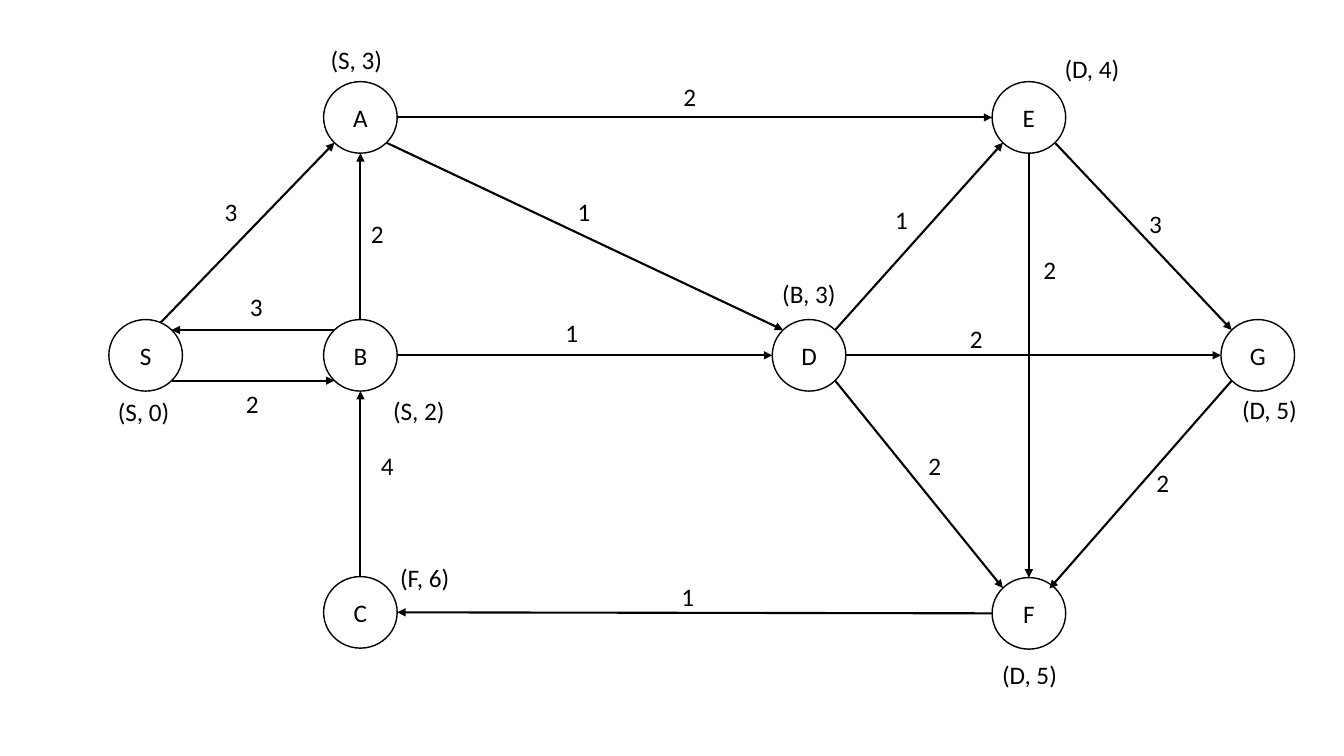
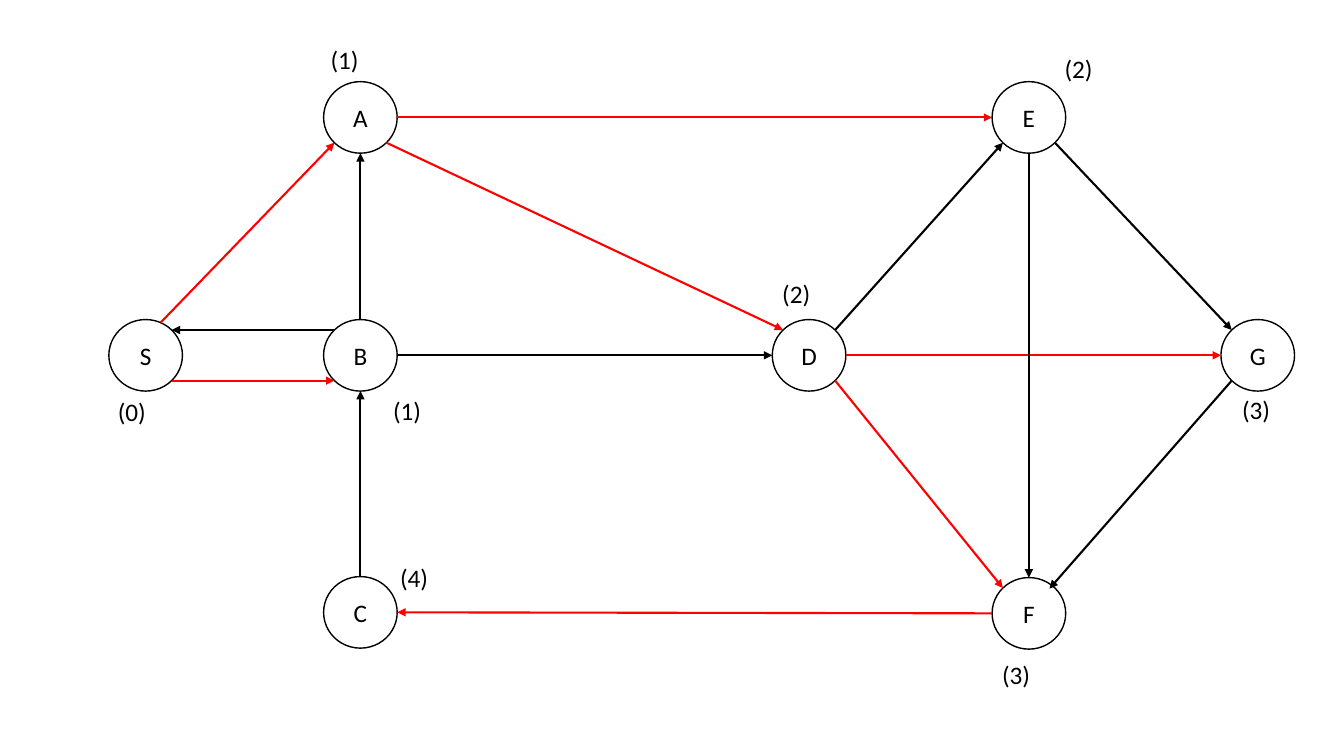
from dataclasses import dataclass
from math import cos, radians, sin
from typing import Any, Optional

from lxml.etree import SubElement
from pptx import Presentation
from pptx.dml.color import RGBColor
from pptx.enum.shapes import MSO_CONNECTOR, MSO_SHAPE
from pptx.enum.text import MSO_ANCHOR, MSO_AUTO_SIZE, PP_ALIGN
from pptx.oxml.ns import qn
from pptx.slide import Slide
from pptx.util import Inches, Pt

COLORS = {"ink": "000000", "paper": "FFFFFF", "tree": "FF0000"}
FONT_FORMAT = {"name": "Calibri", "size": Pt(18)}
NODE_TEXT_FORMAT = {"vertical_anchor": MSO_ANCHOR.MIDDLE, "word_wrap": True}
FITTED_FORMAT = {"auto_size": MSO_AUTO_SIZE.SHAPE_TO_FIT_TEXT, "word_wrap": False}
WRAPPED_FORMAT = {**FITTED_FORMAT, "word_wrap": True}
NODE_WIDTH, NODE_HEIGHT = 0.73, 0.71
LABEL_HEIGHT, WEIGHT_WIDTH = 0.4, 0.33


@dataclass(frozen=True)
class Node:
    """A graph vertex: its top left corner and the place of its tag."""
    left: float
    top: float
    tag_left: float
    tag_top: float
    tag_width: Optional[float] = None  # None fits the width to the text

    def rim(self, angle: float, reach: float = 1) -> tuple[float, float]:
        """Return the point at an angle in degrees, counter-clockwise from the right."""
        turn = radians(angle)
        return (self.left + NODE_WIDTH / 2 * (1 + reach * cos(turn)),
                self.top + NODE_HEIGHT / 2 * (1 - reach * sin(turn)))


@dataclass(frozen=True)
class Edge:
    """A directed edge, the angles where it leaves and arrives, and its weight."""
    source: str
    target: str
    leave: float
    arrive: float
    weight: int
    weight_left: float
    weight_top: float
    reach: float = 1

    @property
    def key(self) -> str:
        """Return the two node names joined."""
        return self.source + self.target


@dataclass(frozen=True)
class GraphView:
    """What one slide shows on the shared graph."""
    tags: dict[str, str]
    tree_edges: frozenset[str] = frozenset()
    weighted: bool = False


NODES = {
    "S": Node(1.08, 3.17, 1.07, 3.88),
    "A": Node(3.21, 0.81, 3.18, 0.39),
    "B": Node(3.21, 3.17, 3.8, 3.87),
    "C": Node(3.21, 5.72, 3.87, 5.53),
    "D": Node(7.66, 3.17, 7.66, 2.71, 0.77),
    "E": Node(9.84, 0.81, 10.46, 0.48, 0.84),
    "F": Node(9.84, 5.73, 9.84, 6.49, 0.82),
    "G": Node(12.11, 3.17, 12.22, 3.86, 0.88),
}

EDGES = [
    Edge("S", "B", -45, -135, 2, 2.34, 3.8),
    Edge("B", "S", 135, 45, 3, 2.38, 2.84),
    Edge("S", "A", 66, -135, 3, 2.13, 1.9),
    Edge("B", "A", 90, -90, 2, 3.58, 2.12),
    Edge("C", "B", 90, -90, 4, 3.68, 4.42),
    Edge("A", "E", 0, 180, 2, 6.68, 0.76),
    Edge("A", "D", -45, 135, 1, 5.63, 1.9),
    Edge("B", "D", 0, 180, 1, 5.51, 3.1),
    Edge("D", "E", 45, -135, 1, 8.78, 1.98),
    Edge("D", "G", 0, 180, 2, 9.52, 3.16),
    Edge("D", "F", -45, 135, 2, 9.11, 4.42),
    Edge("E", "F", -90, 90, 2, 10.25, 2.47),
    Edge("E", "G", -45, 135, 3, 11.3, 2.02),
    Edge("G", "F", -135, 51, 2, 11.37, 4.59, reach=0.89),
    Edge("F", "C", 180, 0, 1, 6.66, 5.72),
]

VIEWS = [
    GraphView(
        tags={"S": "(S, 0)", "A": "(S, 3)", "B": "(S, 2)", "C": "(F, 6)",
              "D": "(B, 3)", "E": "(D, 4)", "F": "(D, 5)", "G": "(D, 5)"},
        weighted=True),
    GraphView(
        tags={"S": "(0)", "A": "(1)", "B": "(1)", "C": "(4)",
              "D": "(2)", "E": "(2)", "F": "(3)", "G": "(3)"},
        tree_edges=frozenset({"SA", "SB", "AE", "AD", "DG", "DF", "FC"})),
]


def color(role: str) -> RGBColor:
    """Return the colour of a role."""
    return RGBColor.from_string(COLORS[role])


def apply_format(target: Any, values: dict[str, Any]) -> None:
    """Set each attribute of the target from the format values."""
    for attribute, value in values.items():
        setattr(target, attribute, value)


def write(frame: Any, text: str, frame_format: dict[str, Any],
          align: PP_ALIGN = PP_ALIGN.LEFT) -> None:
    """Put one formatted line of text in a frame."""
    apply_format(frame, frame_format)
    paragraph = frame.paragraphs[0]
    paragraph.alignment = align
    run = paragraph.add_run()
    run.text = text
    apply_format(run.font, FONT_FORMAT)
    run.font.color.rgb = color("ink")


def draw_node(slide: Slide, name: str, node: Node) -> None:
    """Draw a vertex as a circle with its name."""
    circle = slide.shapes.add_shape(
        MSO_SHAPE.OVAL, Inches(node.left), Inches(node.top),
        Inches(NODE_WIDTH), Inches(NODE_HEIGHT))
    circle.shadow.inherit = False
    circle.fill.solid()
    circle.fill.fore_color.rgb = color("paper")
    circle.line.color.rgb = color("ink")
    circle.line.width = Pt(1)
    write(circle.text_frame, name, NODE_TEXT_FORMAT, PP_ALIGN.CENTER)


def draw_edge(slide: Slide, edge: Edge, role: str) -> None:
    """Draw an edge as an arrow between the rims of its nodes."""
    start = NODES[edge.source].rim(edge.leave)
    end = NODES[edge.target].rim(edge.arrive, edge.reach)
    arrow = slide.shapes.add_connector(
        MSO_CONNECTOR.STRAIGHT, *(Inches(length) for length in start + end))
    arrow.line.color.rgb = color(role)
    arrow.line.width = Pt(1.5)
    SubElement(arrow.line._get_or_add_ln(), qn("a:tailEnd"), type="triangle")
    SubElement(arrow._element.spPr, qn("a:effectLst"))


def draw_label(slide: Slide, text: str, left: float, top: float,
               width: float, frame_format: dict[str, Any]) -> None:
    """Write a tag or a weight beside the graph."""
    label = slide.shapes.add_textbox(
        Inches(left), Inches(top), Inches(width), Inches(LABEL_HEIGHT))
    write(label.text_frame, text, frame_format)


def draw_graph(slide: Slide, view: GraphView) -> None:
    """Draw the graph as one view shows it."""
    for name, node in NODES.items():
        draw_node(slide, name, node)
        tag = view.tags[name]
        fitted_width = 0.24 + 0.08 * len(tag)
        draw_label(slide, tag, node.tag_left, node.tag_top,
                   node.tag_width or fitted_width,
                   WRAPPED_FORMAT if node.tag_width else FITTED_FORMAT)
    for edge in EDGES:
        draw_edge(slide, edge, "tree" if edge.key in view.tree_edges else "ink")
        if view.weighted:
            draw_label(slide, str(edge.weight), edge.weight_left,
                       edge.weight_top, WEIGHT_WIDTH, FITTED_FORMAT)


def main() -> None:
    """Build one slide for each view and save the deck."""
    deck = Presentation()
    apply_format(deck, {"slide_width": Inches(13.33), "slide_height": Inches(7.5)})
    blank_layout = deck.slide_layouts[6]
    for view in VIEWS:
        draw_graph(deck.slides.add_slide(blank_layout), view)
    deck.save("out.pptx")


main()
